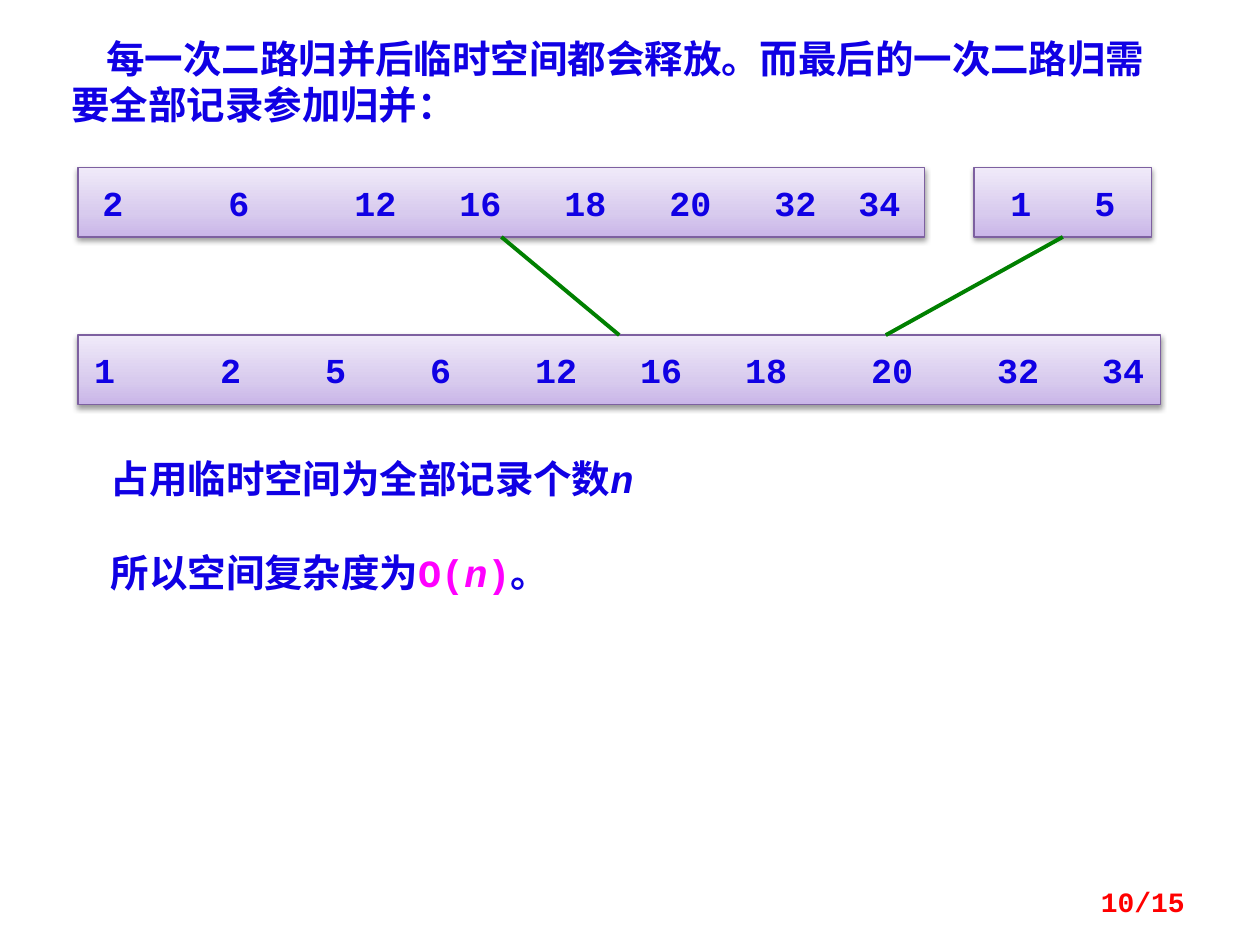
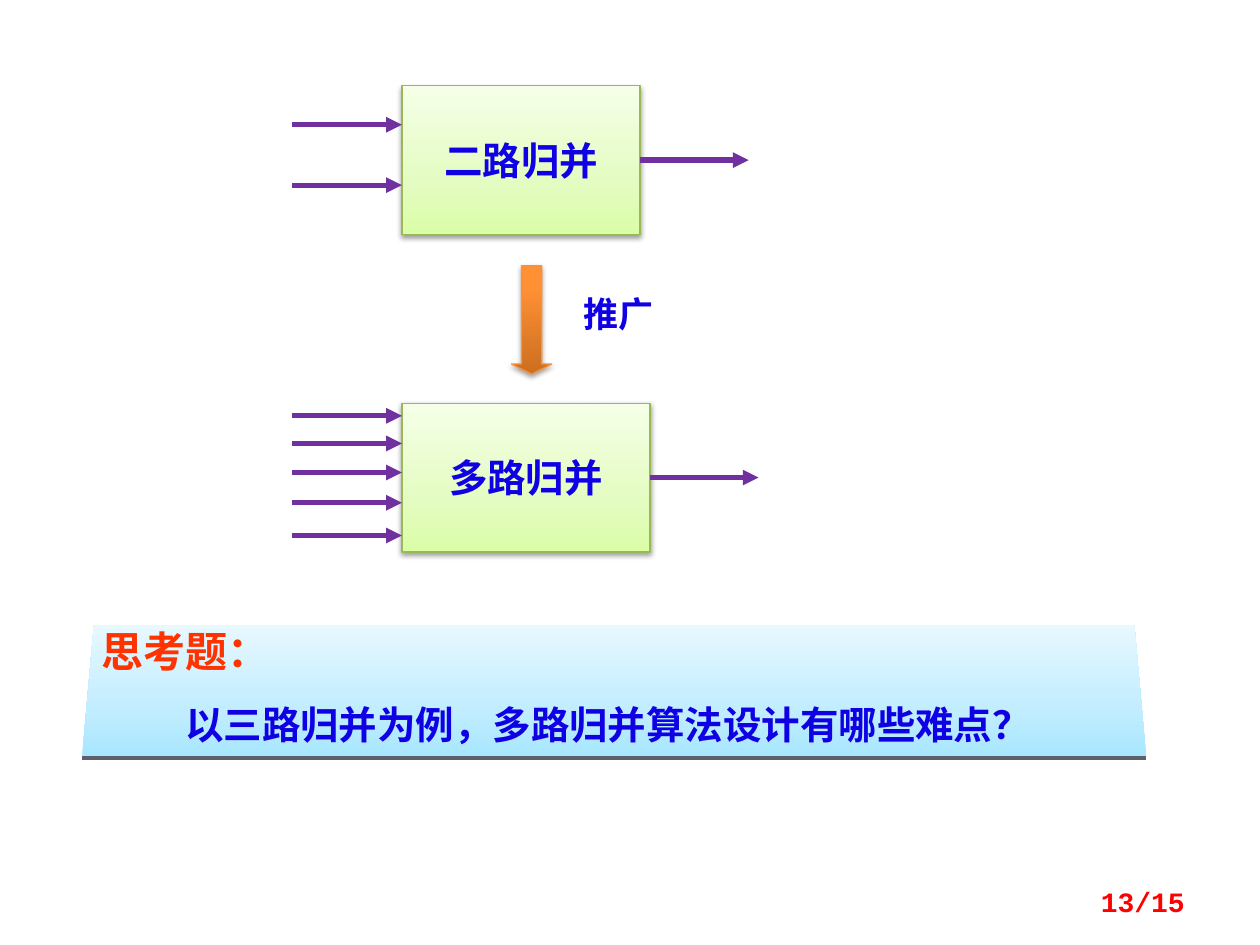
"""Build two slides on the space cost of two-way merging and its extension."""
from copy import deepcopy

from lxml import etree
from pptx import Presentation
from pptx.dml.color import RGBColor
from pptx.enum.shapes import MSO_CONNECTOR, MSO_SHAPE
from pptx.enum.text import MSO_ANCHOR, PP_ALIGN
from pptx.oxml.ns import qn
from pptx.util import Pt

RECT, DOWN_ARROW = MSO_SHAPE.RECTANGLE, MSO_SHAPE.DOWN_ARROW
STRAIGHT = MSO_CONNECTOR.STRAIGHT
TOP, MIDDLE = MSO_ANCHOR.TOP, MSO_ANCHOR.MIDDLE
LEFT, CENTER, RIGHT = PP_ALIGN.LEFT, PP_ALIGN.CENTER, PP_ALIGN.RIGHT

COLORS = {
    "text": "1000E4", "accent": "FF00FF", "question": "FF3300", "page": "FF0000",
    "merge": "008000", "flow": "7030A0", "edge": "5F5F6B", "shadow": "000000",
}
PAINTS = {
    "purple": {"stops": [(0, "C9B5E8"), (0.35, "D8CBEE"), (1, "F0EAF9")], "line": "7D60A0"},
    "green": {"stops": [(0, "DAFDA7"), (0.35, "E4FCC2"), (1, "F5FFE7")], "line": "98B955"},
    "orange": {"stops": [(0, "CC6E20"), (0.8, "FF9034"), (1, "FF9136")], "line": "F69240"},
    "sky": {"stops": [(0, "A7E6FF"), (0.35, "C1EDFF"), (1, "E7F8FF")], "line": None},
}
MONO, CJK, SANS = "Courier New", "Noto Sans CJK SC", "Calibri"
CHAR_W = 12


def paint(sp, name):
    """Give a shape its gradient, outline and soft shadow."""
    sp.fill.gradient()
    sp.fill.gradient_angle = 90
    gs_lst = sp._element.spPr.find(".//" + qn("a:gsLst"))
    gs_lst.append(deepcopy(gs_lst[0]))
    for stop, (pos, color) in zip(sp.fill.gradient_stops, PAINTS[name]["stops"]):
        stop.position = pos
        stop.color.rgb = RGBColor.from_string(color)
    sp.shadow.inherit = False
    if PAINTS[name]["line"] is None:
        sp.line.fill.background()
        return
    sp.line.color.rgb = RGBColor.from_string(PAINTS[name]["line"])
    sp.line.width = Pt(0.75)
    effects = sp._element.spPr.find(qn("a:effectLst"))
    shadow = etree.SubElement(effects, qn("a:outerShdw"), blurRad=str(Pt(3.1)),
                              dist=str(Pt(1.6)), dir="5400000", rotWithShape="0")
    clr = etree.SubElement(shadow, qn("a:srgbClr"), val=COLORS["shadow"])
    etree.SubElement(clr, qn("a:alpha"), val="38000")


def write(sp, paragraphs, indent=0, tabs=(), **frame):
    """Fill a shape with paragraphs of (format, runs)."""
    tf = sp.text_frame
    for key, value in {"word_wrap": True, "vertical_anchor": TOP, **frame}.items():
        setattr(tf, key, value)
    for i, (p_fmt, runs) in enumerate(paragraphs):
        p = tf.add_paragraph() if i else tf.paragraphs[0]
        for key, value in {"alignment": LEFT, **p_fmt}.items():
            setattr(p, key, value)
        pPr = p._p.get_or_add_pPr()
        if indent and i == len(paragraphs) - 1:
            pPr.set("marL", "0")
            pPr.set("indent", str(Pt(indent)))
        if tabs:
            tab_lst = etree.SubElement(pPr, qn("a:tabLst"))
            for pos in tabs:
                etree.SubElement(tab_lst, qn("a:tab"), pos=str(Pt(pos)), algn="l")
        for text, color, r_fmt in runs:
            r = p.add_run()
            r.text = text
            for key, value in {"name": MONO, "size": Pt(22), "bold": True, **r_fmt}.items():
                setattr(r.font, key, value)
            r.font.color.rgb = RGBColor.from_string(COLORS[color])
            etree.SubElement(r._r.get_or_add_rPr(), qn("a:ea"), typeface=CJK)


prs = Presentation()
prs.slide_width, prs.slide_height = Pt(720), Pt(540)
space_slide, multiway_slide = [prs.slides.add_slide(prs.slide_layouts[6]) for _ in range(2)]
lines = []

s = space_slide
notes = [
    ((33.8, 16.6, 646.6, 60.5), 20, {},
     [("每一次二路归并后临时空间都会释放。而最后的一次二路归需要全部记录参加归并：", "text", {})]),
    ((56.2, 256.3, 399.6, 33.8), 0, {},
     [("占用临时空间为全部记录个数", "text", {}), ("n", "text", {"italic": True})]),
    ((56.2, 303.8, 292.3, 37.4), 0, {"line_spacing": 1.25},
     [("所以空间复杂度为", "text", {}), ("Ο(", "accent", {}),
      ("n", "accent", {"italic": True}), (")", "accent", {}), ("。", "text", {})]),
]
for box, indent, p_fmt, runs in notes:
    write(s.shapes.add_textbox(*map(Pt, box)), [(p_fmt, runs)], indent)

sequences = [
    ((44.6, 95.8, 483.8), [2, 6, 12, 16, 18, 20, 32, 34], [0, 6, 12, 17, 22, 27, 32, 36]),
    ((556.6, 95.8, 101.5), [1, 5], [0, 4]),
    ((44.6, 191.5, 618.5), [1, 2, 5, 6, 12, 16, 18, 20, 32, 34],
     [0, 6, 11, 16, 21, 26, 31, 37, 43, 48]),
]
bars = []
for (x, y, w), numbers, columns in sequences:
    sp = s.shapes.add_shape(RECT, Pt(x), Pt(y), Pt(w), Pt(39.6))
    paint(sp, "purple")
    length = columns[-1] + len(str(numbers[-1]))
    write(sp, [({}, [("\t".join(map(str, numbers)), "text", {"size": Pt(20)})])],
          tabs=[c * CHAR_W for c in columns[1:]], vertical_anchor=MIDDLE,
          margin_left=Pt((w - length * CHAR_W) / 2), margin_right=0)
    bars.append(sp)

long_run, short_run, merged = bars
for source, end_x in ((long_run, 353.9), (short_run, 506.2)):
    cx = s.shapes.add_connector(STRAIGHT, 0, 0, Pt(end_x), Pt(191.5))
    cx.begin_connect(source, 2)
    if source is long_run:
        cx.end_connect(merged, 0)
    lines.append((cx, "merge", 2.25, False))

s = multiway_slide
mergers = [
    ("二路归并", 49, 136.1, [71.3, 105.8]),
    ("多路归并", 230.4, 141.8, [237.6, 253.4, 270, 287.3, 306]),
]
for label, y, w, inputs in mergers:
    sp = s.shapes.add_shape(RECT, Pt(229.7), Pt(y), Pt(w), Pt(85))
    paint(sp, "green")
    write(sp, [({"alignment": CENTER}, [(label, "text", {"name": CJK})])],
          vertical_anchor=MIDDLE)
    for input_y in inputs:
        cx = s.shapes.add_connector(STRAIGHT, Pt(167), Pt(input_y), Pt(229.7), Pt(input_y))
        lines.append((cx, "flow", 3, True))
    mid_y, right = y + 42.5, 229.7 + w
    cx = s.shapes.add_connector(STRAIGHT, Pt(right), Pt(mid_y), Pt(right + 62), Pt(mid_y))
    cx.begin_connect(sp, 3)
    lines.append((cx, "flow", 3, True))

sp = s.shapes.add_shape(DOWN_ARROW, Pt(292.3), Pt(151.9), Pt(23), Pt(61.9))
sp.adjustments[1] = 0.25
paint(sp, "orange")
write(s.shapes.add_textbox(Pt(326.2), Pt(163.4), Pt(106.6), Pt(31.7)),
      [({}, [("推广", "text", {"name": CJK, "size": Pt(20)})])])

left, top, right, bottom, slant = 46.9, 357.1, 655, 432.6, 6.8
fb = s.shapes.build_freeform(Pt(left + slant), Pt(top))
fb.add_line_segments([(Pt(right - slant), Pt(top)), (Pt(right), Pt(bottom)),
                      (Pt(left), Pt(bottom))])
sp = fb.convert_to_shape()
paint(sp, "sky")
write(sp, [
    ({}, [("思考题：", "question", {"name": SANS, "size": Pt(24)})]),
    ({"space_before": Pt(14)},
     [("以三路归并为例，多路归并算法设计有哪些难点？", "text", {"name": CJK})]),
], indent=48, margin_left=Pt(11), margin_top=Pt(0.5))
cx = s.shapes.add_connector(STRAIGHT, Pt(left), Pt(bottom + 0.5), Pt(right), Pt(bottom + 0.5))
lines.append((cx, "edge", 2, False))

for cx, color, width, has_head in lines:
    cx.line.color.rgb = RGBColor.from_string(COLORS[color])
    cx.line.width = Pt(width)
    if has_head:
        etree.SubElement(cx.line._get_or_add_ln(), qn("a:tailEnd"), type="triangle")
    etree.SubElement(cx._element.spPr, qn("a:effectLst"))

for s, page in ((space_slide, "10/15"), (multiway_slide, "13/15")):
    sp = s.shapes.add_textbox(Pt(516.2), Pt(500.4), Pt(167.8), Pt(28.8))
    write(sp, [({"alignment": RIGHT}, [(page, "page", {"size": Pt(16)})])],
          vertical_anchor=MIDDLE)

prs.save("out.pptx")
